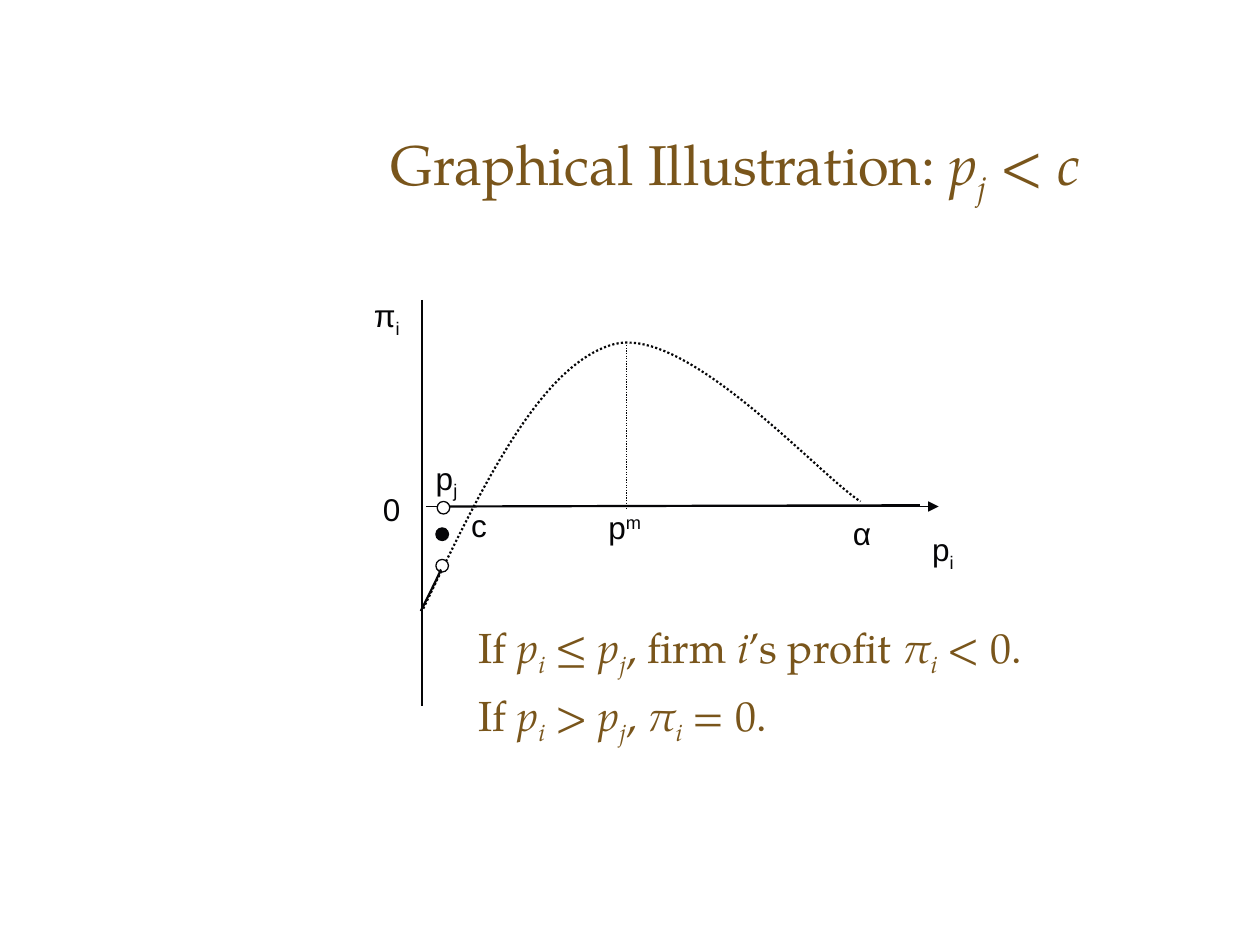
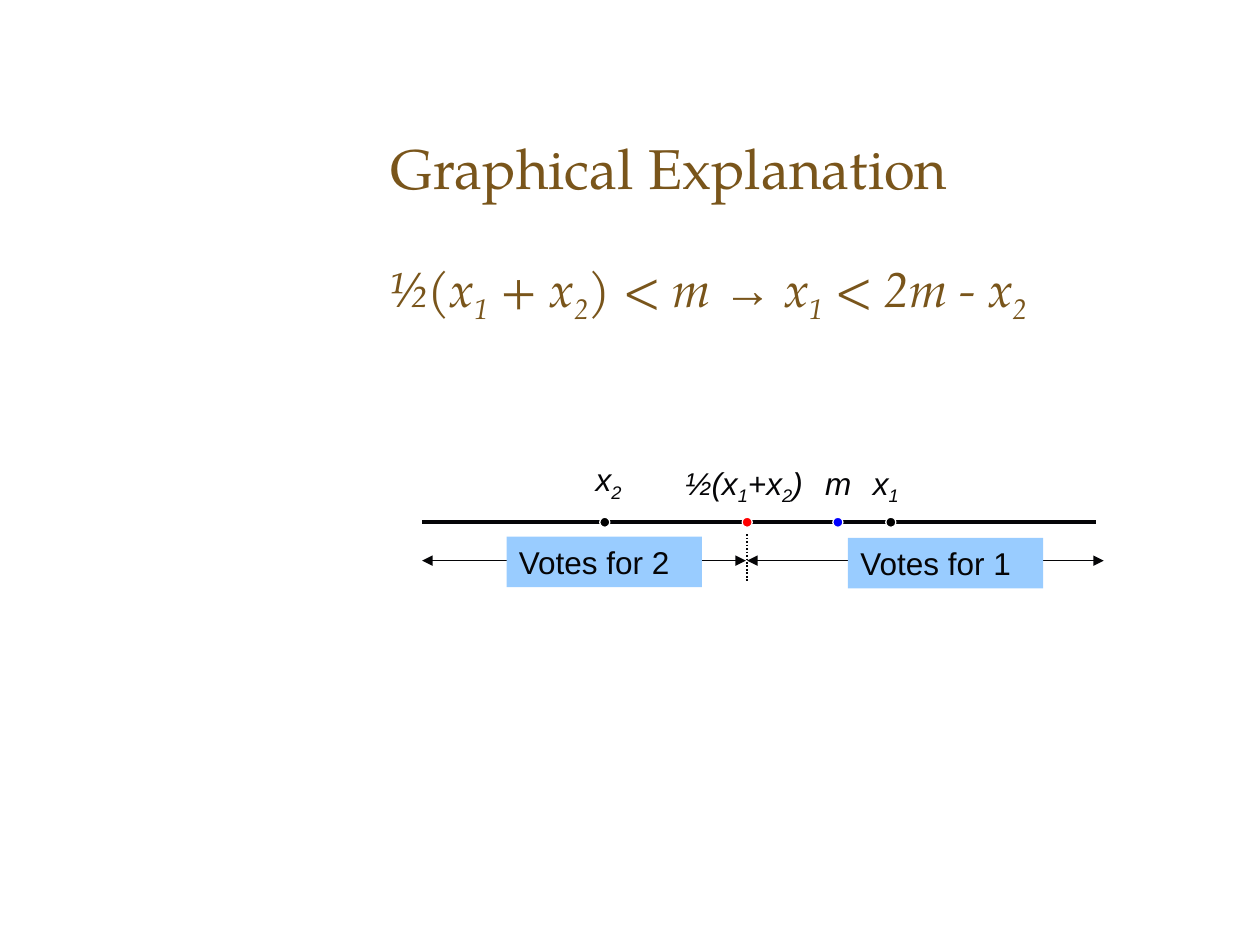
from dataclasses import dataclass

from lxml import etree
from pptx import Presentation
from pptx.dml.color import RGBColor
from pptx.enum.dml import MSO_LINE
from pptx.enum.shapes import MSO_CONNECTOR, MSO_SHAPE
from pptx.enum.text import MSO_ANCHOR, MSO_AUTO_SIZE, PP_ALIGN
from pptx.oxml.ns import qn
from pptx.util import Inches, Pt

STRAIGHT = MSO_CONNECTOR.STRAIGHT
CIRCLE = MSO_SHAPE.FLOWCHART_CONNECTOR
RECT = MSO_SHAPE.RECTANGLE
DOTTED = MSO_LINE.ROUND_DOT
TOP, MIDDLE = MSO_ANCHOR.TOP, MSO_ANCHOR.MIDDLE
LEFT = PP_ALIGN.LEFT
NO_FIT = MSO_AUTO_SIZE.NONE


@dataclass(frozen=True)
class Theme:
    serif: str = "TeX Gyre Pagella"
    sans: str = "Arial"
    brown: str = "79551B"
    ink: str = "050507"
    black: str = "000000"
    white: str = "FFFFFF"
    red: str = "FF0000"
    blue: str = "0000FF"
    sky: str = "99CCFF"
    title: float = 32
    formula: float = 28
    body: float = 24
    label: float = 18
    thin: float = 0.75
    medium: float = 1.25
    axis: float = 1.5
    heavy: float = 2.25


T = Theme()
SHIFTS = {"_": "-25000", "^": "30000"}


def rgb(value):
    return RGBColor.from_string(value)


def split_markup(text, italic):
    """Split text: * toggles italic, _ and ^ shift the next character."""
    pieces, shift = [], None
    for ch in text:
        if ch == "*":
            italic = not italic
        elif ch in SHIFTS:
            shift = SHIFTS[ch]
        else:
            style = (italic, shift, ch == "→")
            if pieces and pieces[-1][1] == style:
                pieces[-1][0] += ch
            else:
                pieces.append([ch, style])
            shift = None
    return pieces


def write(p, text, *, size=T.label, font=T.sans, color=T.ink, italic=False, before=0):
    p.alignment = LEFT
    p.space_before = Pt(before)
    for piece, (slanted, shift, is_arrow) in split_markup(text, italic):
        r = p.add_run()
        r.text = piece
        r.font.name = T.sans if is_arrow else font
        r.font.size = Pt(size)
        r.font.italic = slanted
        r.font.color.rgb = rgb(color)
        if shift:
            r.font._element.set("baseline", shift)


def prepare_frame(sp, anchor):
    tf = sp.text_frame
    tf.word_wrap = True
    tf.auto_size = NO_FIT
    tf.vertical_anchor = anchor
    tf.margin_left = tf.margin_right = Inches(0.1)
    tf.margin_top = tf.margin_bottom = Inches(0.05)
    return tf


def place(sp, x, y, w, h):
    sp.left, sp.top, sp.width, sp.height = (Inches(v) for v in (x, y, w, h))


def add_title(s, text):
    sp = s.shapes.title
    place(sp, 3, 0.83, 6, 1)
    tf = prepare_frame(sp, MIDDLE)
    write(tf.paragraphs[0], text, size=T.title, font=T.serif, color=T.brown)


def add_body(s, box, lines, **style):
    sp = s.placeholders[1]
    place(sp, *box)
    tf = prepare_frame(sp, TOP)
    for i, text in enumerate(lines):
        p = tf.add_paragraph() if i else tf.paragraphs[0]
        write(p, text, font=T.serif, color=T.brown, **style)
        ppr = p._p.get_or_add_pPr()
        ppr.set("marL", str(Inches(0.38)))
        ppr.set("indent", str(-Inches(0.38)))
        etree.SubElement(ppr, qn("a:buNone"))


def add_label(s, text, x, y, w, **style):
    sp = s.shapes.add_textbox(Inches(x), Inches(y), Inches(w), Inches(0.4))
    write(prepare_frame(sp, TOP).paragraphs[0], text, **style)


def style_line(line, width, color=T.ink, dash=None):
    line.color.rgb = rgb(color)
    line.width = Pt(width)
    if dash:
        line.dash_style = dash


def add_line(s, x1, y1, x2, y2, width, dash=None, arrows=()):
    sp = s.shapes.add_connector(STRAIGHT, *(Inches(v) for v in (x1, y1, x2, y2)))
    style_line(sp.line, width, dash=dash)
    ln = sp.line._get_or_add_ln()
    for end in arrows:
        etree.SubElement(ln, qn(f"a:{end}"), type="triangle")
    etree.SubElement(sp._element.spPr, qn("a:effectLst"))


def add_preset(s, kind, x, y, w, h, fill, outline=None):
    sp = s.shapes.add_shape(kind, *(Inches(v) for v in (x, y, w, h)))
    sp.shadow.inherit = False
    sp.fill.solid()
    sp.fill.fore_color.rgb = rgb(fill)
    if outline:
        style_line(sp.line, T.thin, outline)
    else:
        sp.line.fill.background()
    return sp


def add_dot(s, cx, cy, d, fill, outline):
    add_preset(s, CIRCLE, cx - d / 2, cy - d / 2, d, d, fill, outline)


def bezier(points, steps=40):
    for k in range(1, steps + 1):
        t = k / steps
        weights = ((1 - t) ** 3, 3 * t * (1 - t) ** 2, 3 * t * t * (1 - t), t ** 3)
        yield tuple(sum(w * pt[axis] for w, pt in zip(weights, points)) for axis in (0, 1))


def add_curve(s, x, y, knots, dash=None):
    points = [(Inches(x + dx), Inches(y + dy)) for dx, dy in knots]
    fb = s.shapes.build_freeform(*points[0])
    for i in range(0, len(points) - 1, 3):
        fb.add_line_segments([(round(a), round(b)) for a, b in bezier(points[i:i + 4])],
                             close=False)
    sp = fb.convert_to_shape()
    sp.shadow.inherit = False
    sp.fill.background()
    style_line(sp.line, T.medium, dash=dash)


def profit_graph(s, x, y):
    add_line(s, x, y - 1.64, x, y + 1.58, T.axis)
    add_line(s, x + 0.03, y, x + 4.1, y, T.thin, arrows=["tailEnd"])
    add_curve(s, x, y, [(0.01, 0.81), (0.48, -0.17), (0.95, -1.14), (1.53, -1.29),
                        (2.11, -1.43), (3.16, -0.24), (3.48, -0.04)], DOTTED)
    add_line(s, x + 1.62, y - 1.28, x + 1.62, y + 0.02, T.thin, DOTTED)
    for text, dx, dy, w in [("p^m", 1.38, -0.04, 0.78), ("c", 0.29, -0.05, 0.78),
                            ("p_j", 0.01, -0.43, 0.78), ("0", -0.41, -0.18, 0.32),
                            ("α", 3.32, 0.01, 0.57), ("π_i", -0.48, -1.72, 0.57),
                            ("p_i", 3.95, 0.14, 0.96)]:
        add_label(s, text, x + dx, y + dy, w)
    for dx, dy, fill in [(0.17, 0.01, T.white), (0.16, 0.47, T.white), (0.16, 0.22, T.ink)]:
        add_dot(s, x + dx, y + dy, 0.1, fill, T.ink)
    add_curve(s, x, y, [(-0.01, 0.83), (0.06, 0.69), (0.13, 0.55), (0.15, 0.5)])
    add_line(s, x + 0.22, y, x + 3.95, y - 0.01, T.medium)


def voting_line(s, x, y):
    split, end = 2.58, 5.41
    add_line(s, x, y, x + 5.35, y, T.heavy)
    for dx, fill in [(1.45, T.black), (3.72, T.black), (split, T.red), (3.3, T.blue)]:
        add_dot(s, x + dx, y + 0.005, 0.08, fill, T.white)
    for text, dx, dy, w in [("x_2", 1.28, -0.54, 0.54), ("x_1", 3.48, -0.51, 0.64),
                            ("m", 3.1, -0.51, 0.33), ("½(x_1+x_2)", 1.99, -0.51, 1.28)]:
        add_label(s, text, x + dx, y + dy, w, italic=True, before=11.2)
    add_line(s, x + split, y + 0.1, x + split, y + 0.48, 1, DOTTED)
    for start, stop in [(0, split - 0.01), (split, end)]:
        add_line(s, x + start, y + 0.31, x + stop, y + 0.31, T.thin,
                 arrows=["headEnd", "tailEnd"])
    for text, dx, dy in [("Votes for 2", 0.67, 0.12), ("Votes for 1", 3.38, 0.13)]:
        sp = add_preset(s, RECT, x + dx, y + dy, 1.55, 0.4, T.sky)
        write(prepare_frame(sp, TOP).paragraphs[0], text, before=11.2)


def add_slide(prs, title):
    s = prs.slides.add_slide(prs.slide_layouts[1])
    add_title(s, title)
    return s


def main():
    prs = Presentation()
    prs.slide_width, prs.slide_height = Inches(10), Inches(7.5)

    s = add_slide(prs, "Graphical Illustration: *p_j < c")
    add_body(s, (3.7, 4.88, 5.26, 1.54),
             ["If *p_i ≤ p_j*, firm *i*’s profit *π_i* < 0.", "If *p_i > p_j*, *π_i* = 0."],
             size=T.body, before=6)
    profit_graph(s, 3.35, 4.02)

    s = add_slide(prs, "Graphical Explanation")
    add_body(s, (3, 2, 6, 4.25), ["½(x_1 + x_2) < m → x_1 < 2m - x_2"],
             size=T.formula, italic=True, before=17.5)
    voting_line(s, 3.35, 4.14)

    prs.save("out.pptx")


if __name__ == "__main__":
    main()
